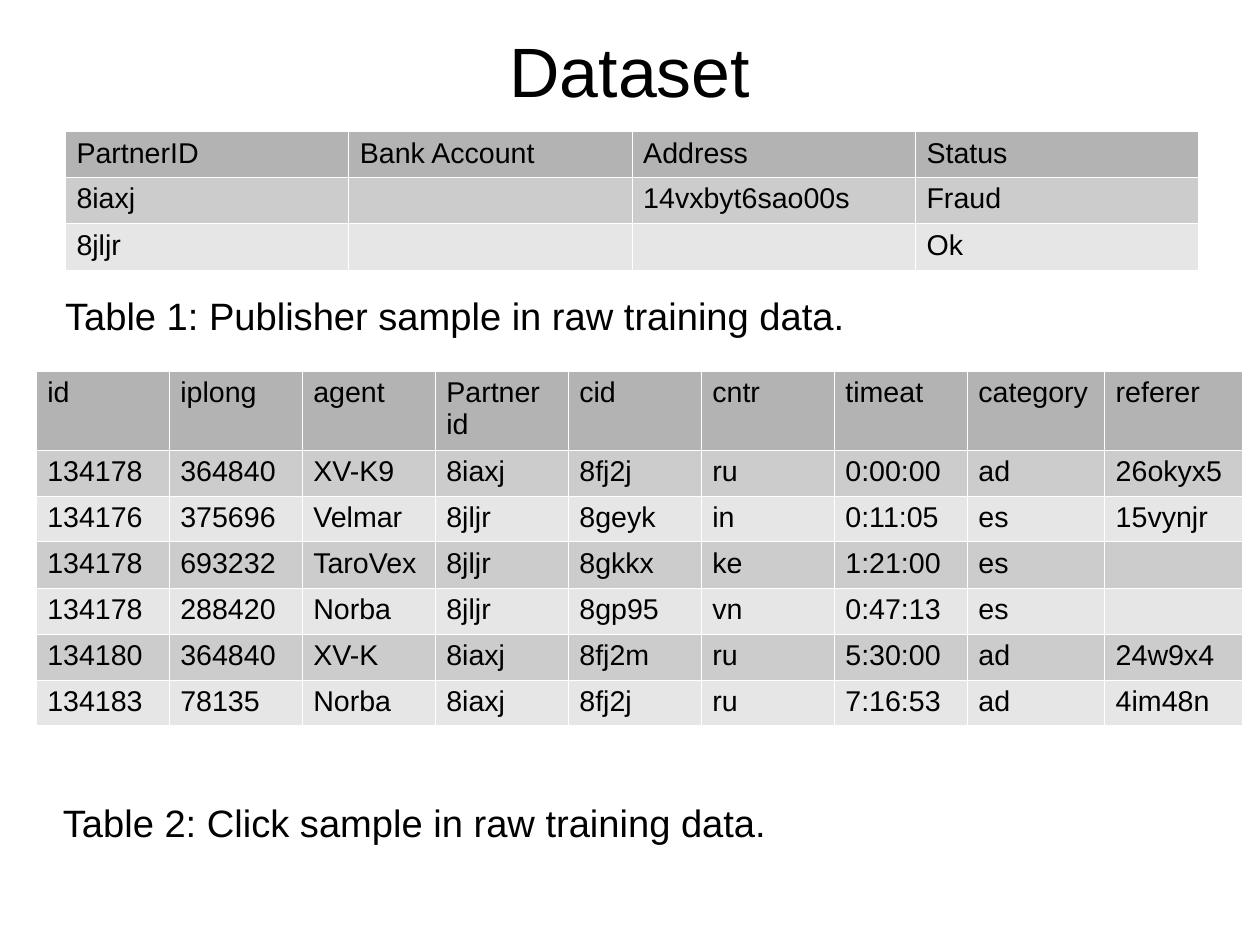
from dataclasses import dataclass

from lxml.etree import SubElement
from pptx import Presentation
from pptx.dml.color import RGBColor
from pptx.enum.text import MSO_ANCHOR, PP_ALIGN
from pptx.oxml.ns import qn
from pptx.slide import Slide
from pptx.table import _Cell
from pptx.text.text import _Run
from pptx.util import Pt

HEADER_FILL = "B3B3B3"
BAND_FILLS = ("CCCCCC", "E6E6E6")
BORDER = "FFFFFF"
INK = "000000"
ROW_HEIGHT = 28.75


@dataclass
class Label:
    text: str
    left: float
    top: float
    height: float
    size: float
    inset_top: float
    align: PP_ALIGN = PP_ALIGN.LEFT
    width: float = 714.3


@dataclass
class Grid:
    left: float
    top: float
    header_height: float
    widths: list[float]
    rows: list[list[str]]


LABELS = [
    Label("Dataset", 39.6, 13.7, 59.8, 44, 0, PP_ALIGN.CENTER),
    Label("Table 1: Publisher sample in raw training data.", 41, 166.3, 49.7, 24, 14.4),
    Label("Table 2: Click sample in raw training data.", 39.6, 470.9, 79.2, 24, 14.4),
]

PUBLISHERS = Grid(41, 82.8, ROW_HEIGHT, [178.5] * 4, [
    ["PartnerID", "Bank Account", "Address", "Status"],
    ["8iaxj", "", "14vxbyt6sao00s", "Fraud"],
    ["8jljr", "", "", "Ok"],
])

CLICKS = Grid(22.6, 233.7, 50, [83.8] * 7 + [86.5] * 2, [
    ["id", "iplong", "agent", "Partner\nid", "cid", "cntr", "timeat", "category", "referer"],
    ["134178", "364840", "XV-K9", "8iaxj", "8fj2j", "ru", "0:00:00", "ad", "26okyx5"],
    ["134176", "375696", "Velmar", "8jljr", "8geyk", "in", "0:11:05", "es", "15vynjr"],
    ["134178", "693232", "TaroVex", "8jljr", "8gkkx", "ke", "1:21:00", "es", ""],
    ["134178", "288420", "Norba", "8jljr", "8gp95", "vn", "0:47:13", "es", ""],
    ["134180", "364840", "XV-K", "8iaxj", "8fj2m", "ru", "5:30:00", "ad", "24w9x4"],
    ["134183", "78135", "Norba", "8iaxj", "8fj2j", "ru", "7:16:53", "ad", "4im48n"],
])


def rgb(color: str) -> RGBColor:
    return RGBColor.from_string(color)


def style_run(r: _Run, size: float) -> None:
    for name, value in {"name": "Arial", "size": Pt(size)}.items():
        setattr(r.font, name, value)
    r.font.color.rgb = rgb(INK)


def add_label(s: Slide, label: Label) -> None:
    sp = s.shapes.add_textbox(Pt(label.left), Pt(label.top), Pt(label.width), Pt(label.height))
    tf = sp.text_frame
    frame_format = {
        "word_wrap": True,
        "vertical_anchor": MSO_ANCHOR.MIDDLE,
        "margin_left": 0,
        "margin_right": 0,
        "margin_top": Pt(label.inset_top),
        "margin_bottom": 0,
    }
    for name, value in frame_format.items():
        setattr(tf, name, value)
    p = tf.paragraphs[0]
    p.alignment = label.align
    r = p.add_run()
    r.text = label.text
    style_run(r, label.size)


def add_borders(cell: _Cell) -> None:
    props = cell._tc.get_or_add_tcPr()
    for side in ("lnL", "lnR", "lnT", "lnB"):
        line = SubElement(props, qn(f"a:{side}"), w=str(Pt(0.06)))
        fill = SubElement(line, qn("a:solidFill"))
        SubElement(fill, qn("a:srgbClr"), val=BORDER)


def fill_cell(cell: _Cell, text: str, color: str) -> None:
    cell.text = text
    cell_format = {
        "margin_left": Pt(7.2),
        "margin_right": Pt(7.2),
        "margin_top": Pt(3.6),
        "margin_bottom": Pt(3.6),
    }
    for name, value in cell_format.items():
        setattr(cell, name, value)
    for p in cell.text_frame.paragraphs:
        for r in p.runs:
            style_run(r, 18)
    add_borders(cell)
    cell.fill.solid()
    cell.fill.fore_color.rgb = rgb(color)


def add_grid(s: Slide, grid: Grid) -> None:
    heights = [grid.header_height] + [ROW_HEIGHT] * (len(grid.rows) - 1)
    table = s.shapes.add_table(
        len(grid.rows), len(grid.widths), Pt(grid.left), Pt(grid.top),
        Pt(sum(grid.widths)), Pt(sum(heights)),
    ).table
    table.first_row = table.horz_banding = False
    for column, width in zip(table.columns, grid.widths):
        column.width = Pt(width)
    for i, (values, height) in enumerate(zip(grid.rows, heights)):
        table.rows[i].height = Pt(height)
        color = BAND_FILLS[(i - 1) % 2] if i else HEADER_FILL
        for j, text in enumerate(values):
            fill_cell(table.cell(i, j), text, color)


def main() -> None:
    prs = Presentation()
    prs.slide_width, prs.slide_height = Pt(793.7), Pt(595.28)
    s = prs.slides.add_slide(prs.slide_layouts[6])
    for grid in (PUBLISHERS, CLICKS):
        add_grid(s, grid)
    for label in LABELS:
        add_label(s, label)
    prs.save("out.pptx")


if __name__ == "__main__":
    main()
